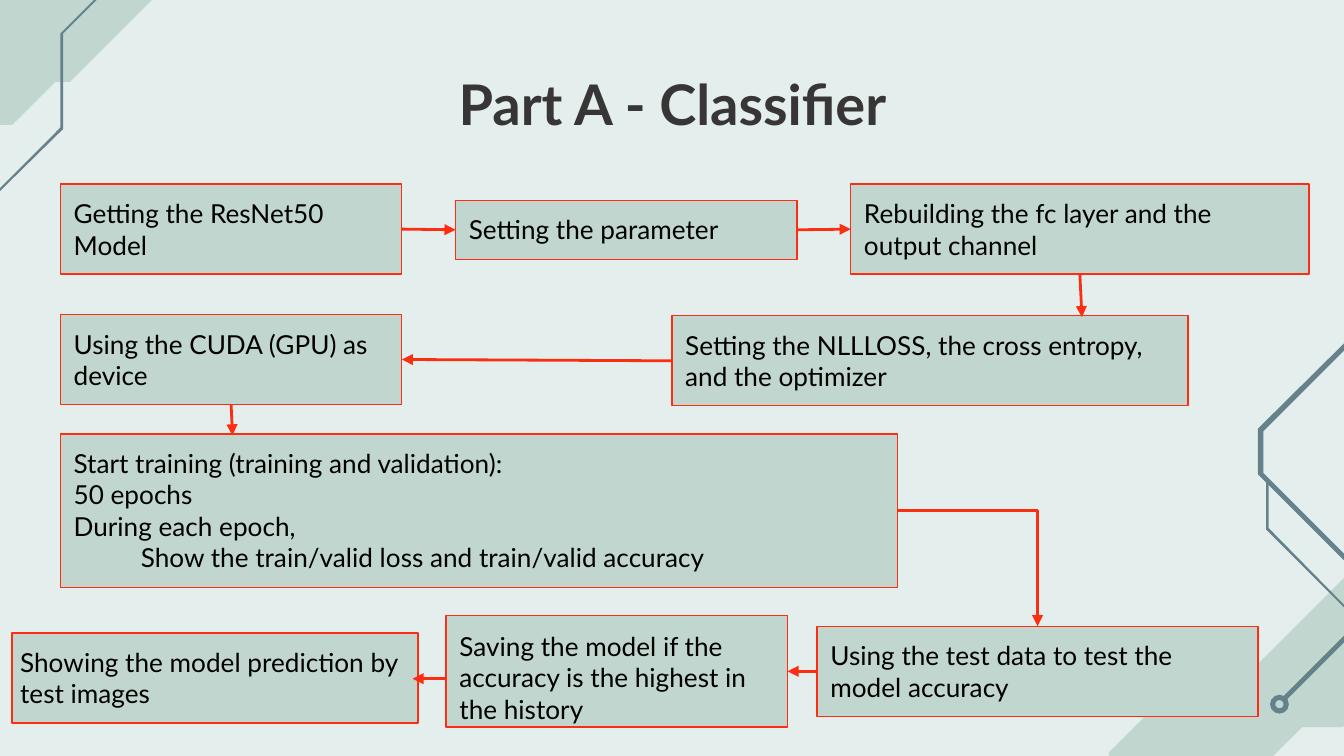
from pptx import Presentation
from pptx.dml.color import RGBColor
from pptx.enum.shapes import MSO_CONNECTOR as Route, MSO_SHAPE as Shape
from pptx.enum.text import MSO_ANCHOR as Anchor, MSO_AUTO_SIZE as AutoSize, PP_ALIGN as Align
from pptx.oxml.ns import qn
from pptx.util import Inches, Pt
from lxml.etree import SubElement

COLORS = {"mist": "E3EEED", "sage": "C1D6CE", "slate": "64818C",
          "title": "383536", "text": "000000", "flow": "FC2E12"}
FONT = "Lato"
TOP, LEFT, BOTTOM, RIGHT = range(4)

TOP_LEFT_ART = [
    ("sage", [(0, 1.65), (1.1, 0.54), (1.59, 0.54), (2.13, 0), (2.79, 0),
              (1.46, 1.33), (1.35, 1.33), (1.03, 1.65)]),
    ("slate", [(2.15, 0.21), (1.39, 0.97), (1.39, 1.67), (0.82, 2.24), (0.83, 2.25),
               (1.41, 1.68), (1.41, 0.97), (2.16, 0.22)]),
]
BOTTOM_RIGHT_ART = [
    ("sage", [(2.38, 2.88), (1.38, 3.88), (0.93, 3.88), (0.36, 4.45), (0.36, 4.71),
              (0, 5.07), (0.98, 5.07), (1.8, 4.26), (2.1, 4.26), (2.69, 3.67),
              (2.69, 3.51), (3.32, 2.88)]),
    ("slate", [(4.29, 0), (3.32, 0.97), (2.54, 0.97), (2.54, 0.98), (1.47, 2.04),
               (1.47, 2.38), (2.12, 3.03), (2.12, 3.57), (1.64, 4.05), (1.67, 4.07),
               (2.16, 3.58), (2.16, 3.02), (1.51, 2.37), (1.51, 2.06), (2.56, 1.01),
               (3.33, 1.01), (3.34, 1), (4.32, 0.03)]),
    ("slate", [(1.53, 2.42), (1.53, 2.79), (2.13, 3.39), (2.14, 3.38), (1.55, 2.78),
               (1.55, 2.42)]),
]
STEPS = {
    "model": ((0.45, 1.37, 2.54, 0.67), ["Getting the ResNet50 Model"]),
    "parameter": ((3.39, 1.49, 2.54, 0.44), ["Setting the parameter"]),
    "layer": ((6.33, 1.37, 3.41, 0.67), ["Rebuilding the fc layer and the output channel"]),
    "loss": ((5, 2.35, 3.84, 0.67),
             ["Setting the NLLLOSS, the cross entropy, and the optimizer"]),
    "device": ((0.45, 2.34, 2.54, 0.67), ["Using the CUDA (GPU) as device"]),
    "training": ((0.45, 3.23, 6.23, 1.14),
                 ["Start training (training and validation):", "50 epochs",
                  "During each epoch,",
                  "\tShow the train/valid loss and train/valid accuracy"]),
    "test": ((6.08, 4.66, 3.28, 0.67), ["Using the test data to test the model accuracy"]),
    "saving": ((3.32, 4.58, 2.54, 0.83),
               ["Saving the model if the accuracy is the highest in the history"]),
    "prediction": ((0.09, 4.71, 3.02, 0.67), ["Showing the model prediction by test images"]),
}
INSETS = {"saving": (0.1, 0.11), "prediction": (0.06, 0.1)}
FLOW = [
    ("model", RIGHT, "parameter", LEFT),
    ("parameter", RIGHT, "layer", LEFT),
    ("layer", BOTTOM, (8.05, 2.36), None),
    ("loss", LEFT, "device", RIGHT),
    ("device", BOTTOM, (1.73, 3.24), None),
    ("training", RIGHT, "test", TOP),
    ("test", LEFT, "saving", RIGHT),
    ((3.32, 5.05), None, (3.07, 5.05), None),
]


def rgb(name):
    """Look up a palette colour."""
    return RGBColor.from_string(COLORS[name])


def paint(shape, fill, line=None):
    """Give a shape a flat fill, an optional outline and no shadow."""
    shape.shadow.inherit = False
    shape.fill.solid()
    shape.fill.fore_color.rgb = rgb(fill)
    if line:
        shape.line.color.rgb = rgb(line)
        shape.line.width = Pt(0.75)
    else:
        shape.line.fill.background()


def write(paragraph, text, size, color, bold=False):
    """Add one formatted run to a paragraph."""
    run = paragraph.add_run()
    run.text = text
    run.font.name, run.font.size, run.font.bold = FONT, Pt(size), bold
    run.font.color.rgb = rgb(color)


def set_frame(frame, left_inset=0.1, top_inset=0.1):
    """Set wrapping, top anchoring and insets of a text frame."""
    frame.word_wrap = True
    frame.auto_size = AutoSize.NONE
    frame.vertical_anchor = Anchor.TOP
    frame.margin_left, frame.margin_top = Inches(left_inset), Inches(top_inset)
    frame.margin_right = frame.margin_bottom = Inches(0.1)


def add_art(slide, x, y, outlines):
    """Draw corner outlines relative to the corner box's origin."""
    for color, points in outlines:
        spots = [(Inches(x + dx), Inches(y + dy)) for dx, dy in points]
        builder = slide.shapes.build_freeform(*spots[0])
        builder.add_line_segments(spots[1:], close=True)
        paint(builder.convert_to_shape(), color)


def add_node(slide, x, y, size):
    """Draw the ring that ends the circuit line."""
    ring = slide.shapes.add_shape(Shape.DONUT, *map(Inches, (x, y, size, size)))
    ring.adjustments[0] = 0.28
    paint(ring, "slate")


def add_title(slide, box, text):
    """Place and format the title placeholder."""
    title = slide.shapes.title
    title.left, title.top, title.width, title.height = map(Inches, box)
    set_frame(title.text_frame)
    heading = title.text_frame.paragraphs[0]
    heading.alignment = Align.CENTER
    write(heading, text, 30, "title", bold=True)


def add_step(slide, box, lines, insets):
    """Draw one step box; a leading tab marks an indented line."""
    step = slide.shapes.add_shape(Shape.RECTANGLE, *map(Inches, box))
    paint(step, "sage", "flow")
    frame = step.text_frame
    set_frame(frame, *insets)
    for index, line in enumerate(lines):
        paragraph = frame.add_paragraph() if index else frame.paragraphs[0]
        paragraph.alignment = Align.LEFT
        if line.startswith("\t"):
            paragraph._p.get_or_add_pPr().set("indent", str(Inches(0.5)))
        write(paragraph, line.strip(), 14, "text")
    return step


def add_arrow(slide, steps, start, start_side, end, end_side):
    """Draw an arrow between step sides or free points."""
    bent = (start_side, end_side) == (RIGHT, TOP)
    begin_spot = (0, 0) if start in steps else start
    end_spot = (0, 0) if end in steps else end
    arrow = slide.shapes.add_connector(Route.ELBOW if bent else Route.STRAIGHT,
                                       *map(Inches, begin_spot + end_spot))
    if start in steps:
        arrow.begin_connect(steps[start], start_side)
    if end in steps:
        arrow.end_connect(steps[end], end_side)
    arrow.line.color.rgb = rgb("flow")
    arrow.line.width = Pt(1.5)
    properties = arrow._element.spPr
    if bent:
        properties.find(qn("a:prstGeom")).set("prst", "bentConnector2")
    SubElement(properties.find(qn("a:ln")), qn("a:tailEnd"), type="triangle")
    SubElement(properties, qn("a:effectLst"))


def add_flowchart(slide):
    """Draw all steps and the arrows that join them."""
    steps = {name: add_step(slide, box, lines, INSETS.get(name, (0.1, 0.1)))
             for name, (box, lines) in STEPS.items()}
    for link in FLOW:
        add_arrow(slide, steps, *link)


def main():
    """Build and save the classifier slide."""
    deck = Presentation()
    deck.slide_width = Inches(10)
    deck.slide_height = deck.slide_width * 9 // 16
    slide = deck.slides.add_slide(deck.slide_layouts[5])
    slide.background.fill.solid()
    slide.background.fill.fore_color.rgb = rgb("mist")
    add_art(slide, -0.94, -0.72, TOP_LEFT_ART)
    add_art(slide, 7.89, 1.15, BOTTOM_RIGHT_ART)
    add_node(slide, 9.45, 5.17, 0.14)
    add_title(slide, (0.79, 0.42, 8.43, 0.65), "Part A - Classifier")
    add_flowchart(slide)
    deck.save("out.pptx")


if __name__ == "__main__":
    main()
